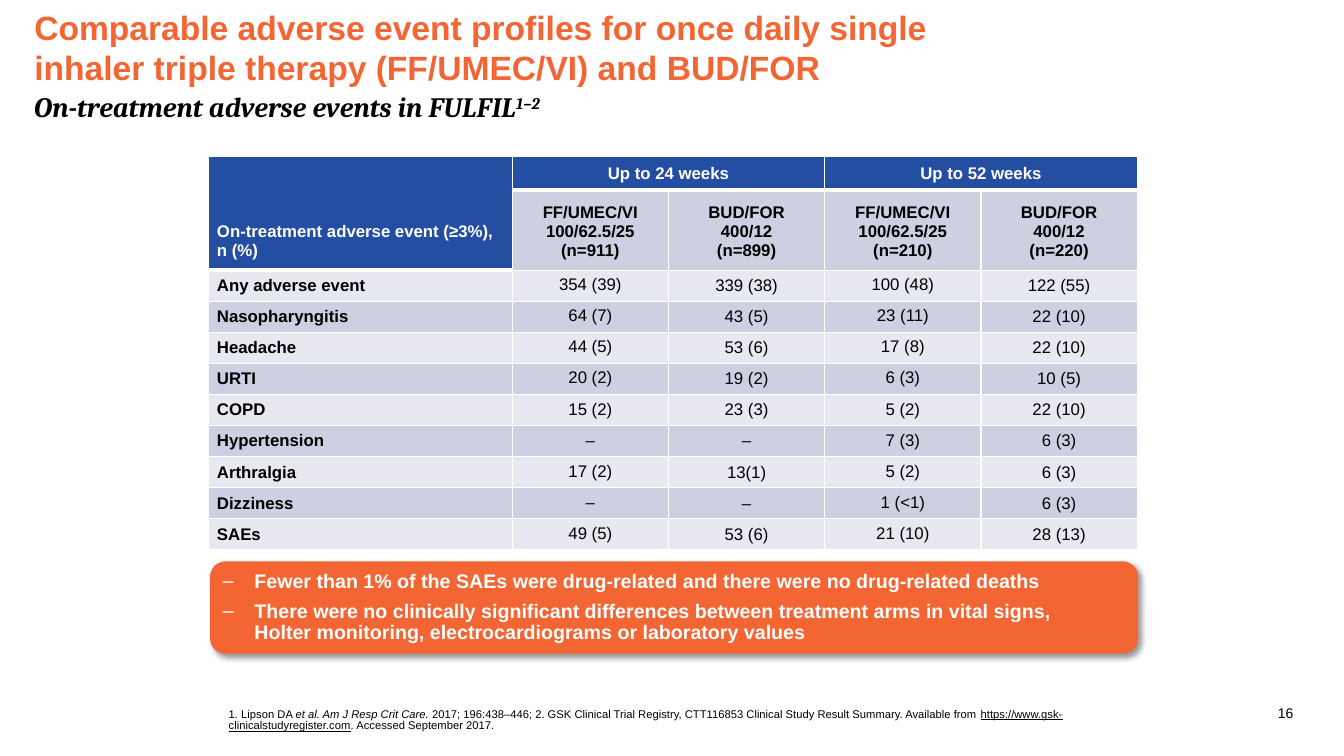
from lxml.etree import SubElement
from pptx import Presentation
from pptx.dml.color import RGBColor
from pptx.enum.shapes import MSO_SHAPE
from pptx.enum.text import MSO_ANCHOR, PP_ALIGN
from pptx.oxml.ns import qn
from pptx.util import Pt

ORANGE, BLUE, WHITE, BLACK = "F36633", "244EA2", "FFFFFF", "000000"
BANDS = ["E8E9F0", "CDD0E0"]

title = "Comparable adverse event profiles for once daily single inhaler triple therapy (FF/UMEC/VI) and BUD/FOR"
subtitle = [("On-treatment adverse events in FULFIL", {}), ("1–2", {"baseline": "30000"})]
periods = ["Up to 24 weeks", "Up to 52 weeks"]
event_heading = "On-treatment adverse event (≥3%),\vn (%)"
arms = [
    "FF/UMEC/VI\n100/62.5/25\n(n=911)",
    "BUD/FOR\n400/12\n(n=899)",
    "FF/UMEC/VI\n100/62.5/25\n(n=210)",
    "BUD/FOR\n400/12\n(n=220)",
]
events = [
    ("Any adverse event", "354 (39)", "339 (38)", "100 (48)", "122 (55)"),
    ("Nasopharyngitis", "64 (7)", "43 (5)", "23 (11)", "22 (10)"),
    ("Headache", "44 (5)", "53 (6)", "17 (8)", "22 (10)"),
    ("URTI", "20 (2)", "19 (2)", "6 (3)", "10 (5)"),
    ("COPD", "15 (2)", "23 (3)", "5 (2)", "22 (10)"),
    ("Hypertension", "–", "–", "7 (3)", "6 (3)"),
    ("Arthralgia", "17 (2)", "13(1)", "5 (2)", "6 (3)"),
    ("Dizziness", "–", "–", "1 (<1)", "6 (3)"),
    ("SAEs", "49 (5)", "53 (6)", "21 (10)", "28 (13)"),
]
conclusions = [
    "Fewer than 1% of the SAEs were drug-related and there were no drug-related deaths",
    "There were no clinically significant differences between treatment arms in vital signs,\n"
    "Holter monitoring, electrocardiograms or laboratory values",
]
references = [
    ("1. Lipson DA ", {}),
    ("et al. Am J Resp Crit Care. ", {"i": "1"}),
    ("2017; 196:438–446; 2. GSK Clinical Trial Registry, CTT116853 Clinical Study Result Summary. Available from ", {}),
    ("https://www.gsk-clinicalstudyregister.com", {"u": "sng"}),
    (". Accessed September 2017.", {}),
]
page_number = "16"

COLUMNS = [217.4] + [111.6] * 4
ROWS = [23.5, 57.5] + [22.2] * len(events)


def color(hex_code):
    return RGBColor.from_string(hex_code)


def style(paragraph, size, hex_code, bold=False, italic=False, family="Arial"):
    font = paragraph.font
    font.name, font.size = family, Pt(size)
    font.bold, font.italic = bold, italic
    font.color.rgb = color(hex_code)


def set_insets(frame, left, top, right, bottom):
    frame.margin_left, frame.margin_top = Pt(left), Pt(top)
    frame.margin_right, frame.margin_bottom = Pt(right), Pt(bottom)


def add_text(left, top, width, height, runs, insets=(0, 0, 0, 0), anchor=MSO_ANCHOR.TOP):
    frame = slide.shapes.add_textbox(Pt(left), Pt(top), Pt(width), Pt(height)).text_frame
    frame.word_wrap = True
    frame.vertical_anchor = anchor
    set_insets(frame, *insets)
    paragraph = frame.paragraphs[0]
    for text, attributes in runs:
        run = paragraph.add_run()
        run.text = text
        for key, value in attributes.items():
            run.font._element.set(key, value)
    return paragraph


def add_border(cell, side, width):
    line = SubElement(cell._tc.get_or_add_tcPr(), qn(f"a:ln{side}"), w=str(Pt(width)))
    SubElement(SubElement(line, qn("a:solidFill")), qn("a:srgbClr"), val=WHITE)


def rule_below(row, column):
    return 3 if row == 0 or (row == 1 and column == 0) else 1


def add_events():
    table = slide.shapes.add_table(
        len(ROWS), len(COLUMNS), Pt(148.5), Pt(112), Pt(sum(COLUMNS)), Pt(sum(ROWS))
    ).table
    table.first_row = table.horz_banding = False
    for column, width in zip(table.columns, COLUMNS):
        column.width = Pt(width)
    for row, height in zip(table.rows, ROWS):
        row.height = Pt(height)

    headings = [event_heading, periods[0], "", periods[1], ""]
    for r, texts in enumerate([headings, ["", *arms], *events]):
        for c, text in enumerate(texts):
            cell = table.cell(r, c)
            heading = r == 0 or (r == 1 and c == 0)
            low = r == 1 or (r == 0 and c == 0)
            for side, width in zip("LRTB", (1, 1, rule_below(r - 1, c), rule_below(r, c))):
                add_border(cell, side, width)
            cell.fill.solid()
            cell.fill.fore_color.rgb = color(BLUE if heading else BANDS[r % 2])
            cell.vertical_anchor = MSO_ANCHOR.BOTTOM if low else MSO_ANCHOR.MIDDLE
            set_insets(cell, 6.5, 0.7, 6.5, 7.2 if low else 0.7)
            cell.text_frame.text = text
            for paragraph in cell.text_frame.paragraphs:
                paragraph.alignment = PP_ALIGN.CENTER if c else PP_ALIGN.LEFT
                if r > 1 and c % 2:
                    paragraph.line_spacing = 0.9
                style(paragraph, 12, WHITE if heading else BLACK, bold=r < 2 or c == 0)

    table.cell(0, 0).merge(table.cell(1, 0))
    for c in (1, 3):
        table.cell(0, c).merge(table.cell(0, c + 1))


def add_conclusions():
    panel = slide.shapes.add_shape(
        MSO_SHAPE.ROUNDED_RECTANGLE, Pt(150), Pt(401), Pt(663), Pt(66)
    )
    panel.fill.solid()
    panel.fill.fore_color.rgb = color(ORANGE)
    panel.line.fill.background()
    panel.shadow.inherit = False
    shadow = SubElement(
        panel._element.spPr.find(qn("a:effectLst")), qn("a:outerShdw"),
        blurRad=str(Pt(4)), dist=str(Pt(3)), dir="2700000", algn="tl", rotWithShape="0",
    )
    shade = SubElement(shadow, qn("a:srgbClr"), val=BLACK)
    SubElement(shade, qn("a:alpha"), val="40000")

    frame = panel.text_frame
    frame.word_wrap = True
    frame.vertical_anchor = MSO_ANCHOR.MIDDLE
    set_insets(frame, 6, 6, 6, 6)
    for index, conclusion in enumerate(conclusions):
        paragraph = frame.add_paragraph() if index else frame.paragraphs[0]
        paragraph.text = conclusion
        paragraph.alignment = PP_ALIGN.LEFT
        paragraph.line_spacing = 0.9
        paragraph.space_before = Pt(3 if index else 0)
        paragraph.space_after = Pt(3)
        properties = paragraph._p.get_or_add_pPr()
        properties.set("marL", str(Pt(22.5)))
        properties.set("indent", str(Pt(-22.5)))
        SubElement(properties, qn("a:buFont"), typeface="Arial")
        SubElement(properties, qn("a:buChar"), char="–")
        style(paragraph, 14, WHITE, bold=True)


deck = Presentation()
deck.slide_width, deck.slide_height = Pt(960), Pt(540)
slide = deck.slides.add_slide(deck.slide_layouts[6])

style(add_text(24.5, 5, 671, 56, [(title, {})]), 24, ORANGE, bold=True)
style(add_text(24.5, 64, 798, 24, subtitle), 20, BLACK, bold=True, italic=True, family="Cambria")
add_events()
add_conclusions()
citation = add_text(149, 485, 644, 46, references, (14.4,) * 4, MSO_ANCHOR.BOTTOM)
citation.line_spacing = 0.85
style(citation, 8, BLACK)
folio = add_text(888.5, 499.7, 42.5, 21.6, [(page_number, {})], (7.2, 3.6, 7.2, 3.6))
folio.alignment = PP_ALIGN.RIGHT
style(folio, 10, BLACK)

deck.save("out.pptx")
